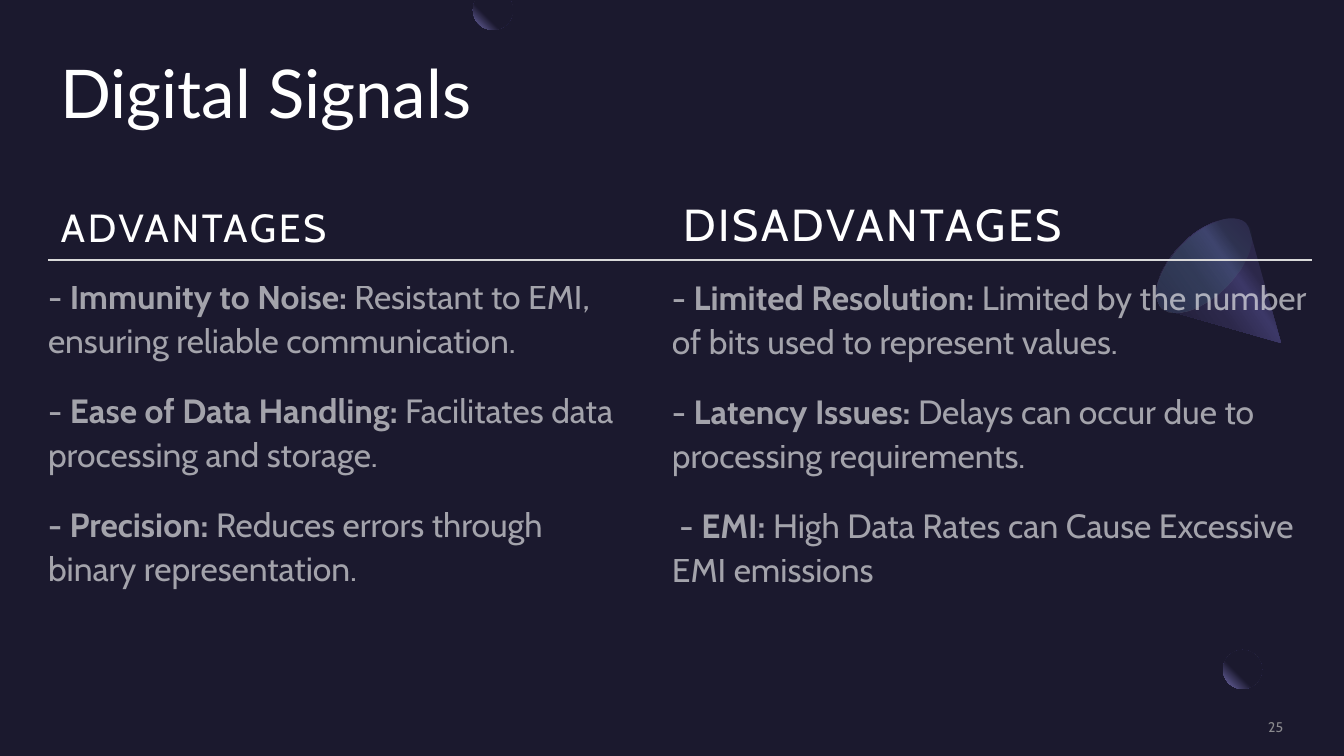
import math

import pptx
import pptx.dml.color
import pptx.enum.shapes
import pptx.enum.text
import pptx.oxml
import pptx.oxml.ns
import pptx.util

BACK, WHITE, PALE = "1B192E", "FFFFFF", "A6A6A6"
TITLE = "Digital Signals"
PAGE = "25"
# heading, heading size, heading box, body box, points as (dash, bold, plain)
COLUMNS = [
    ("ADVANTAGES", 28, (61, 191, 599, 59), (48, 272, 585, 387), [
        ("- ", "Immunity to Noise:", " Resistant to EMI, ensuring reliable communication."),
        ("- ", "Ease of Data Handling: ", "Facilitates data processing and storage."),
        ("", "- Precision:", " Reduces errors through binary representation."),
    ]),
    ("DISADVANTAGES", 32, (683, 191, 600, 59), (672, 273, 651, 444), [
        ("- ", "Limited Resolution: ", "Limited by the number of bits used to represent values."),
        ("- ", "Latency Issues: ", "Delays can occur due to processing requirements."),
        (" - ", "EMI: ", "High Data Rates can Cause Excessive EMI emissions"),
    ]),
]
RULE = (48, 260, 1312, 260)
BALL = (1223, 650, 39, 39)
BALL_STOPS = [(60, BACK, 100), (100, "7771B2", 100)]
DROP_CENTER, DROP_RADIUS = (493, 10), 20
CONE_TIP = (1281, 343)
CONE_RIM = [  # Bezier curves, four points each
    [(1166, 310), (1165, 309), (1163, 308), (1161, 307)],
    [(1161, 307), (1150, 295), (1159, 267), (1182, 244)],
    [(1182, 244), (1205, 221), (1234, 212), (1246, 223)],
    [(1246, 223), (1247, 225), (1248, 226), (1249, 228)],
]
CONE_STOPS = [(30, "2C284A", 100), (40, "3C3867", 100), (60, "2C284A", 100), (100, BACK, 100)]
MOUTH = (1174, 206, 60, 119)
MOUTH_STOPS = [(0, "454075", 33), (100, "5BEFC1", 0)]


def px(n):
    return round(n * 914400 / 100.8)


def color(value):
    return pptx.dml.color.RGBColor.from_string(value)


def gradient(s, stops, angle=None):
    """Fill s linearly at angle degrees, or radially from its top right corner."""
    s.shadow.inherit = False
    s.line.fill.background()
    s.fill.background()
    marks = "".join(
        f'<a:gs pos="{pos * 1000}"><a:srgbClr val="{value}">'
        f'<a:alpha val="{alpha * 1000}"/></a:srgbClr></a:gs>'
        for pos, value, alpha in stops)
    if angle is None:
        shade = '<a:path path="circle"><a:fillToRect l="100000" b="100000"/></a:path>'
    else:
        shade = f'<a:lin ang="{angle * 60000}" scaled="0"/>'
    fill = pptx.oxml.parse_xml(
        f'<a:gradFill {pptx.oxml.ns.nsdecls("a")} rotWithShape="1">'
        f'<a:gsLst>{marks}</a:gsLst>{shade}</a:gradFill>')
    sp_pr = s._element.spPr
    sp_pr.replace(sp_pr.find(pptx.oxml.ns.qn("a:noFill")), fill)


def outline(slide, points):
    points = [(px(x), px(y)) for x, y in points]
    builder = slide.shapes.build_freeform(*points[0], scale=1.0)
    builder.add_line_segments(points[1:], close=True)
    return builder.convert_to_shape()


def bezier(curve, steps=12):
    for i in range(steps + 1):
        t = i / steps
        weights = ((1 - t) ** 3, 3 * t * (1 - t) ** 2, 3 * t * t * (1 - t), t ** 3)
        yield tuple(sum(w * point[axis] for w, point in zip(weights, curve)) for axis in (0, 1))


def ellipse(slide, box):
    return slide.shapes.add_shape(pptx.enum.shapes.MSO_SHAPE.OVAL, *map(px, box))


def text(slide, box, paragraphs, size, font="Cabin", fill=WHITE, alpha=100, spacing=0,
         line=None, before=0, after=0, anchor="TOP", align="LEFT"):
    """Add a text box; each paragraph is a list of (text, bold) runs."""
    tf = slide.shapes.add_textbox(*map(px, box)).text_frame
    tf.word_wrap = True
    tf.margin_left = tf.margin_top = tf.margin_right = tf.margin_bottom = 0
    tf.vertical_anchor = pptx.enum.text.MSO_ANCHOR[anchor]
    for i, runs in enumerate(paragraphs):
        p = tf.add_paragraph() if i else tf.paragraphs[0]
        p.alignment = pptx.enum.text.PP_ALIGN[align]
        p.line_spacing = line
        p.space_before = pptx.util.Pt(before if i else 0)
        p.space_after = pptx.util.Pt(after)
        for words, bold in runs:
            r = p.add_run()
            r.text = words
            r.font.name, r.font.size, r.font.bold = font, pptx.util.Pt(size), bold
            r.font.color.rgb = color(fill)
            r_pr = r.font._element
            if spacing:
                r_pr.set("spc", str(spacing * 100))
            if alpha < 100:
                r_pr.find(".//" + pptx.oxml.ns.qn("a:srgbClr")).append(pptx.oxml.parse_xml(
                    f'<a:alpha {pptx.oxml.ns.nsdecls("a")} val="{alpha * 1000}"/>'))


def main():
    prs = pptx.Presentation()
    prs.slide_width, prs.slide_height = px(1344), px(756)
    slide = prs.slides.add_slide(prs.slide_layouts[6])
    slide.background.fill.solid()
    slide.background.fill.fore_color.rgb = color(BACK)

    gradient(ellipse(slide, BALL), BALL_STOPS)
    rim = [point for curve in CONE_RIM for point in bezier(curve)]
    gradient(outline(slide, [CONE_TIP] + rim), CONE_STOPS, 145)
    mouth = ellipse(slide, MOUTH)
    mouth.rotation = 225
    gradient(mouth, MOUTH_STOPS, 90)

    text(slide, (60, 60, 1224, 147), [[(TITLE, False)]], 48, font="Lato", line=0.9)
    for heading, size, heading_box, body_box, points in COLUMNS:
        text(slide, heading_box, [[(heading, False)]], size, spacing=2, line=1.1,
             after=8, anchor="BOTTOM")
        body = [[(words, bold) for words, bold in zip(point, (False, True, False)) if words]
                for point in points]
        text(slide, body_box, body, 24, alpha=60, line=1.1, before=10, after=8)
    text(slide, (1097, 718, 186, 17), [[(PAGE, False)]], 10, fill=PALE, alpha=80,
         anchor="MIDDLE", align="RIGHT")

    cx, cy = DROP_CENTER
    arc = [math.radians(a) for a in range(-30, 211, 10)]
    drop = [(cx + DROP_RADIUS * math.cos(a), cy + DROP_RADIUS * math.sin(a)) for a in arc]
    gradient(outline(slide, drop), BALL_STOPS)

    rule = slide.shapes.add_connector(
        pptx.enum.shapes.MSO_CONNECTOR.STRAIGHT, *map(px, RULE))
    rule.line.color.rgb = color("D9D9D9")
    rule.line.width = pptx.util.Pt(1.5)
    rule._element.spPr.append(
        pptx.oxml.parse_xml(f'<a:effectLst {pptx.oxml.ns.nsdecls("a")}/>'))
    prs.save("out.pptx")


if __name__ == "__main__":
    main()
